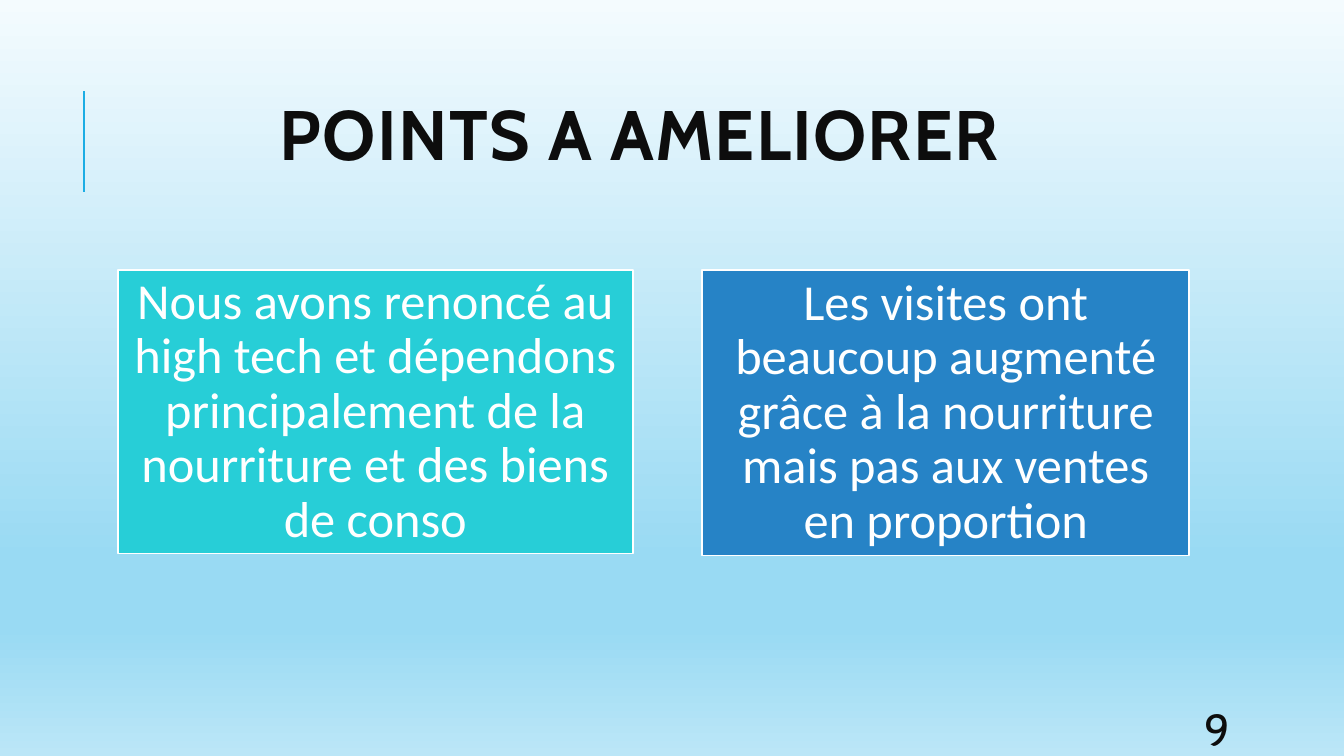
import pptx
import pptx.dml.color
import pptx.enum.shapes
import pptx.enum.text
import pptx.oxml
import pptx.oxml.ns
import pptx.util
from pptx.util import Cm

COLORS = {
    "ink": "0D0D0D",
    "white": "FFFFFF",
    "accent": "1CADE4",
    "turquoise": "27CED7",
    "blue": "2683C6",
}
SKY = [(0, "F4FBFE"), (74, "99DAF3"), (83, "99DAF3"), (100, "BBE6F7")]
A_NS = pptx.oxml.ns.nsdecls("a")
ALIGN = pptx.enum.text.PP_ALIGN


def rgb(name):
    return pptx.dml.color.RGBColor.from_string(COLORS[name])


class SlideBuilder:
    heading_font = "Cabin"
    body_font = "Calibri"

    def __init__(self, slide):
        self.slide = slide

    def background(self, stops):
        fill = self.slide.background.fill
        fill.gradient()
        fill.gradient_angle = 270  # counter-clockwise: top to bottom
        stop_list = self.slide.element.find(".//" + pptx.oxml.ns.qn("a:gsLst"))
        for stop in list(stop_list):
            stop_list.remove(stop)
        for percent, color in stops:
            stop_list.append(pptx.oxml.parse_xml(
                f'<a:gs {A_NS} pos="{percent * 1000}"><a:srgbClr val="{color}"/></a:gs>'))

    def rule(self, x, top, bottom):
        rule = self.slide.shapes.add_connector(
            pptx.enum.shapes.MSO_CONNECTOR.STRAIGHT, Cm(x), Cm(bottom), Cm(x), Cm(top))
        rule.line.color.rgb = rgb("accent")
        rule.line.width = pptx.util.Pt(1.5)
        rule.element.spPr.append(pptx.oxml.parse_xml(f"<a:effectLst {A_NS}/>"))

    def add_text(self, frame, text, font, size, color, align, spacing=1.0):
        frame.word_wrap = True
        frame.vertical_anchor = pptx.enum.text.MSO_ANCHOR.MIDDLE
        paragraph = frame.paragraphs[0]
        paragraph.alignment = align
        paragraph.line_spacing = spacing
        run = paragraph.add_run()
        run.text = text
        run.font.name = font
        run.font.size = pptx.util.Pt(size)
        run.font.color.rgb = rgb(color)
        return run

    def text_box(self, box, text, size, align, spacing=1.0):
        frame = self.slide.shapes.add_textbox(*map(Cm, box)).text_frame
        return self.add_text(frame, text, self.heading_font, size, "ink", align, spacing)

    def title(self, box, text):
        run = self.text_box(box, text, 50, ALIGN.CENTER, 0.8)
        run.font.bold = True
        run.font._element.set("spc", "100")  # letter spacing of 1 pt

    def card(self, box, fill, text):
        card = self.slide.shapes.add_shape(
            pptx.enum.shapes.MSO_SHAPE.RECTANGLE, *map(Cm, box))
        card.shadow.inherit = False
        card.fill.solid()
        card.fill.fore_color.rgb = rgb(fill)
        card.line.color.rgb = rgb("white")
        card.line.width = pptx.util.Pt(1.25)
        frame = card.text_frame
        frame.margin_left = frame.margin_right = Cm(0.38)
        frame.margin_top = frame.margin_bottom = Cm(0.38)
        self.add_text(frame, text, self.body_font, 36, "white", ALIGN.CENTER, 0.9)


def main():
    deck = pptx.Presentation()
    deck.slide_width, deck.slide_height = Cm(33.87), Cm(19.05)
    page = SlideBuilder(deck.slides.add_slide(deck.slide_layouts[6]))

    # Backdrop and heading
    page.background(SKY)
    page.rule(2.11, 2.29, 4.83)
    page.title((2.62, 1.45, 27, 4.17), "POINTS A AMELIORER")

    # Points to improve
    page.card((17.7, 6.81, 12.27, 7.19), "blue",
              "Les visites ont beaucoup augmenté grâce à la nourriture "
              "mais pas aux ventes en proportion")
    page.card((2.97, 6.81, 12.98, 7.14), "turquoise",
              "Nous avons renoncé au high tech et dépendons principalement "
              "de la nourriture et des biens de conso")

    # Page number
    page.text_box((30.1, 17.98, 2.69, 0.76), "9", 32, ALIGN.LEFT)

    deck.save("out.pptx")


if __name__ == "__main__":
    main()
